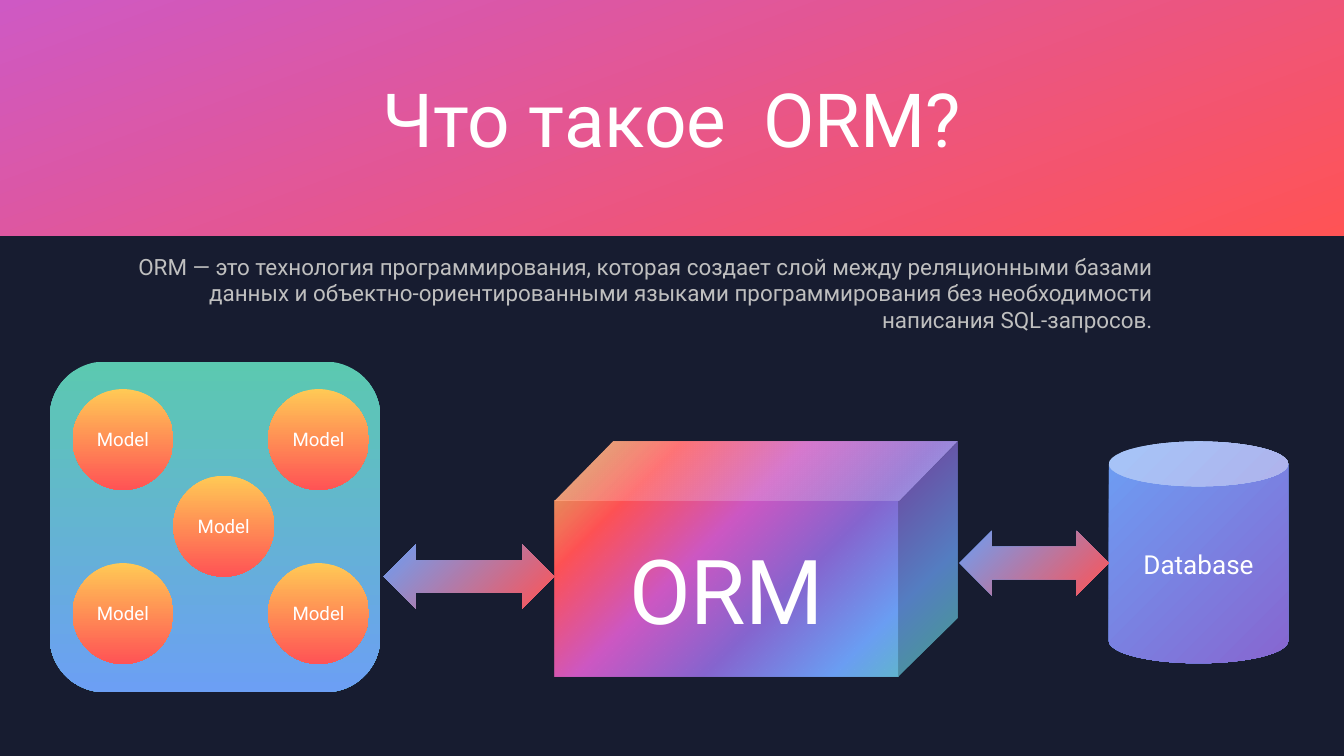
import pptx
import pptx.dml.color
import pptx.enum.shapes
import pptx.enum.text
import pptx.oxml.ns
import pptx.util
from lxml import etree
from pptx.util import Inches

SHAPES = pptx.enum.shapes.MSO_SHAPE
ALIGN = pptx.enum.text.PP_ALIGN
ANCHOR = pptx.enum.text.MSO_ANCHOR
FONT = "Roboto"
COLORS = {
    "background": "171C30", "white": "FFFFFF", "grey": "BFBFBF",
    "red": "FF5355", "pink": "CE59C4", "violet": "8766D0", "blue": "6C9FF4",
    "green": "5BC9B0", "orange": "FFC955", "yellow": "FFCF69",
}


def rgb(name):
    return pptx.dml.color.RGBColor.from_string(COLORS[name])


def fill_gradient(shape, names, angle, first_opacity=100):
    """Spread the named colours evenly; the angle runs clockwise."""
    shape.fill.gradient()
    shape.fill.gradient_angle = (360 - angle) % 360
    qn = pptx.oxml.ns.qn
    stops = shape.fill.gradient_stops and shape._element.spPr.find(".//" + qn("a:gsLst"))
    for stop in list(stops):
        stops.remove(stop)
    for index, name in enumerate(names):
        position = round(100000 * index / (len(names) - 1))
        stop = etree.SubElement(stops, qn("a:gs"), pos=str(position))
        color = etree.SubElement(stop, qn("a:srgbClr"), val=COLORS[name])
        if index == 0 and first_opacity < 100:
            etree.SubElement(color, qn("a:alpha"), val=str(first_opacity * 1000))


def write_text(shape, text, size, color="white", align=ALIGN.CENTER):
    shape.text_frame.word_wrap = True
    paragraph = shape.text_frame.paragraphs[0]
    paragraph.alignment = align
    run = paragraph.add_run()
    run.text = text
    run.font.name = FONT
    run.font.size = pptx.util.Pt(size)
    run.font.color.rgb = rgb(color)


def add_text(slide, box, text, size, color, align):
    text_box = slide.shapes.add_textbox(*map(Inches, box))
    write_text(text_box, text, size, color, align)


def add_shape(slide, kind, box, names, angle, text="", size=20, first_opacity=100):
    shape = slide.shapes.add_shape(kind, *map(Inches, box))
    shape.shadow.inherit = False
    shape.line.fill.background()
    fill_gradient(shape, names, angle, first_opacity)
    if text:
        shape.text_frame.vertical_anchor = ANCHOR.MIDDLE
        write_text(shape, text, size)


def add_header(slide, left, top, width, height):
    add_shape(slide, SHAPES.RECTANGLE, (left, top, width, height), ["red", "pink"], 250)
    add_text(slide, (left + 2.75, top + 1.03, width - 5.5, 1.45),
             "Что такое  ORM?", 80, "white", ALIGN.CENTER)


def add_definition(slide, left, top, width, height):
    add_text(slide, (left, top, width, height),
             "ORM — это технология программирования, которая создает слой между "
             "реляционными базами данных и объектно-ориентированными языками "
             "программирования без необходимости написания SQL-запросов.",
             24, "grey", ALIGN.RIGHT)


def add_models(slide, left, top, side):
    add_shape(slide, SHAPES.ROUNDED_RECTANGLE, (left, top, side, side), ["green", "blue"], 90)
    # Four corners and the centre
    near, far_x, far_y, diameter = 0.34, 3.25, 3, 1.5
    offsets = [(near, 0.41), (1.84, 1.7), (far_x, far_y), (near, far_y), (far_x, 0.41)]
    for x, y in offsets:
        add_shape(slide, SHAPES.OVAL, (left + x, top + y, diameter, diameter),
                  ["orange", "red"], 90, "Model")


def add_flow(slide, left, top):
    """Models, ORM and database, joined by two-way arrows."""
    add_models(slide, left, top, 4.92)
    cube_left, database_left = left + 7.51, left + 15.76
    middle_top = top + 1.19
    add_shape(slide, SHAPES.CUBE, (cube_left, middle_top, 6, 3.5),
              ["yellow", "red", "pink", "violet", "blue", "green"], 45, "ORM", 96, 81)
    add_shape(slide, SHAPES.CAN, (database_left, middle_top, 2.67, 3.3),
              ["blue", "violet"], 45, "Database", 28)
    # Each arrow ends at the left side of the next part
    for end, width, offset in [(database_left, 2.22, 2.52), (cube_left, 2.54, 2.72)]:
        add_shape(slide, SHAPES.LEFT_RIGHT_ARROW, (end - width, top + offset, width, 0.96),
                  ["blue", "red"], 45)


def main():
    presentation = pptx.Presentation()
    presentation.slide_width = Inches(20)
    presentation.slide_height = Inches(11.25)
    slide = presentation.slides.add_slide(presentation.slide_layouts[6])
    slide.background.fill.solid()
    slide.background.fill.fore_color.rgb = rgb("background")

    add_definition(slide, 1.58, 3.71, 15.67, 1.31)
    add_header(slide, 0, 0, 20, 3.51)
    add_flow(slide, 0.74, 5.38)
    presentation.save("out.pptx")


if __name__ == "__main__":
    main()
